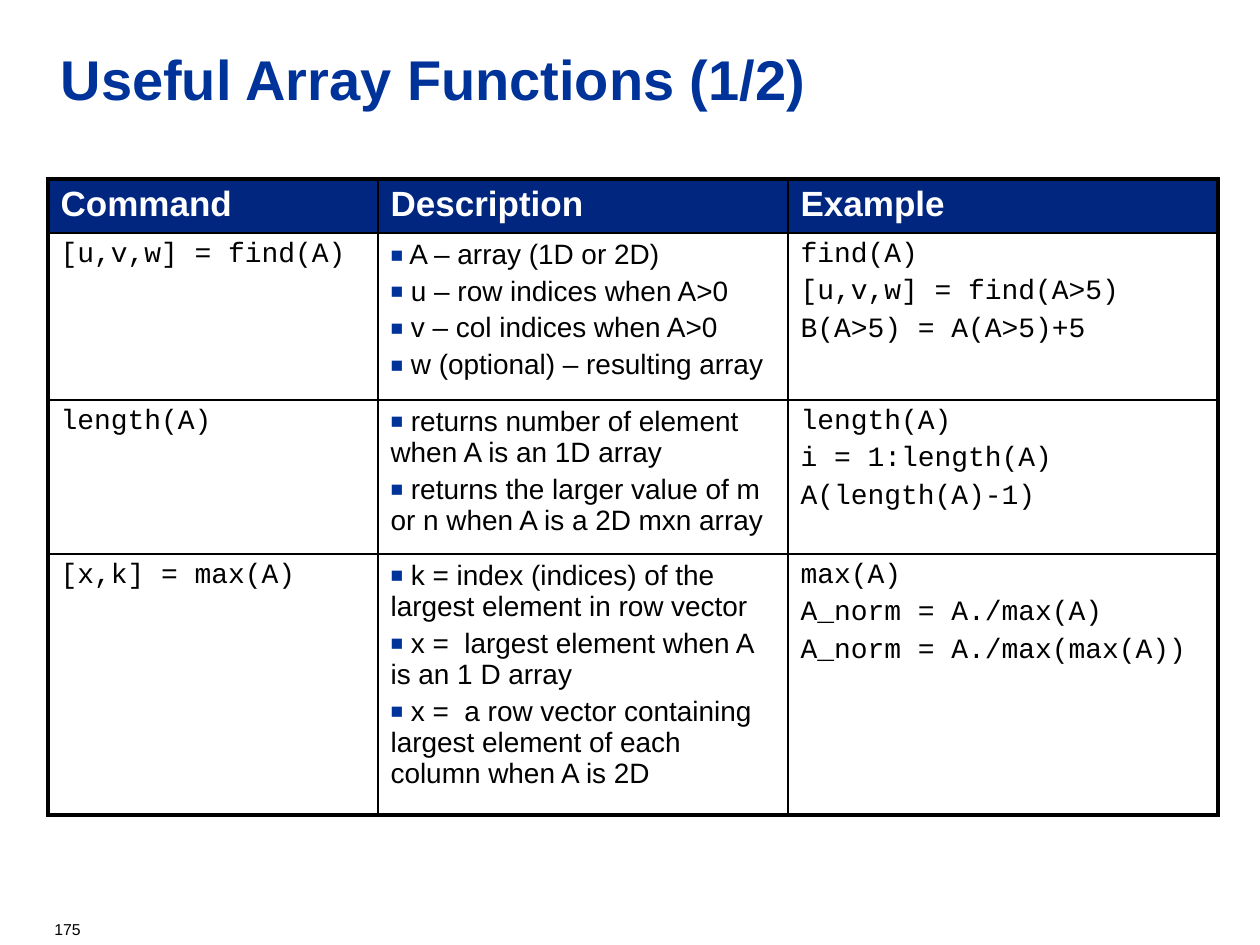
from lxml.etree import SubElement
from pptx import Presentation
from pptx.dml.color import RGBColor as RGB
from pptx.enum.text import MSO_ANCHOR as ANCHOR, PP_ALIGN as ALIGN
from pptx.oxml.ns import qn
from pptx.util import Emu, Pt

SCALE = 914400 / 126
COLORS = {"title": "003399", "header": "00267F", "white": "FFFFFF", "black": "000000"}
SANS, MONO = "Arial", "Courier New"


def px(n):
    return Emu(round(n * SCALE))


def style(font, color, **values):
    for key, value in values.items():
        setattr(font, key, value)
    font.color.rgb = RGB.from_string(COLORS[color])


HEADINGS = ["Command", "Description", "Example"]
FUNCTIONS = [
    (["[u,v,w] = find(A)"],
     [" A – array (1D or 2D)",
      " u – row indices when A>0",
      " v – col indices when A>0",
      " w (optional) – resulting array"],
     ["find(A)", "[u,v,w] = find(A>5)", "B(A>5) = A(A>5)+5"]),
    (["length(A)"],
     [" returns number of element when A is an 1D array",
      " returns the larger value of m or n when A is a 2D mxn array"],
     ["length(A)", "i = 1:length(A)", "A(length(A)-1)"]),
    (["[x,k] = max(A)"],
     [" k = index (indices) of the largest element in row vector",
      " x =  largest element when A is an 1 D array",
      " x =  a row vector containing largest element of each column when A is 2D"],
     ["max(A)", "A_norm = A./max(A)", "A_norm = A./max(max(A))"]),
]
COLUMN_WIDTHS = [330, 410, 430]
ROW_HEIGHTS = [54, 167, 154, 261]

prs = Presentation()
prs.slide_width, prs.slide_height = px(1260), px(945)
slide = prs.slides.add_slide(prs.slide_layouts[5])

title = slide.shapes.title
title.left, title.top, title.width, title.height = px(48), px(38), px(1148), px(126)
title.text_frame.vertical_anchor = ANCHOR.TOP
heading = title.text_frame.paragraphs[0]
heading.alignment = ALIGN.LEFT
heading_run = heading.add_run()
heading_run.text = "Useful Array Functions (1/2)"
style(heading_run.font, "title", name=SANS, size=Pt(32), bold=True)
effects = SubElement(heading_run.font.fill._xPr, qn("a:effectLst"))
shadow = SubElement(effects, qn("a:outerShdw"), blurRad="38100", dist="38100", dir="2700000")
shadow_color = SubElement(shadow, qn("a:srgbClr"), val="C0C0C0")
heading_run.font.name = SANS

table = slide.shapes.add_table(
    len(ROW_HEIGHTS), len(COLUMN_WIDTHS), px(48), px(179),
    px(sum(COLUMN_WIDTHS)), px(sum(ROW_HEIGHTS))).table
table.first_row = table.horz_banding = False
for column, width in zip(table.columns, COLUMN_WIDTHS):
    column.width = px(width)
for row, height in zip(table.rows, ROW_HEIGHTS):
    row.height = px(height)

content = [[[name] for name in HEADINGS], *FUNCTIONS]
last_row, last_col = len(ROW_HEIGHTS) - 1, len(COLUMN_WIDTHS) - 1
for r, entries in enumerate(content):
    for c, lines in enumerate(entries):
        cell = table.cell(r, c)
        is_header = r == 0
        is_description = c == 1 and not is_header
        outer_edges = {"L": c == 0, "R": c == last_col, "T": r == 0, "B": r == last_row}
        for side, is_outer in outer_edges.items():
            border = SubElement(cell._tc.get_or_add_tcPr(), qn(f"a:ln{side}"),
                                w=str(Pt(2.25 if is_outer else 1)))
            border_fill = SubElement(border, qn("a:solidFill"))
            SubElement(border_fill, qn("a:srgbClr"), val=COLORS["black"])
        cell.fill.solid()
        cell.fill.fore_color.rgb = RGB.from_string(COLORS["header" if is_header else "white"])
        for i, line in enumerate(lines):
            frame = cell.text_frame
            entry = frame.add_paragraph() if i else frame.paragraphs[0]
            if i:
                entry.space_before = Pt(3.2)
            if is_description:
                props = entry._p.get_or_add_pPr()
                bullet_color = SubElement(props, qn("a:buClr"))
                SubElement(bullet_color, qn("a:srgbClr"), val=COLORS["title"])
                SubElement(props, qn("a:buSzPct"), val="75000")
                SubElement(props, qn("a:buFont"), typeface=SANS)
                SubElement(props, qn("a:buChar"), char="■")
            entry_run = entry.add_run()
            entry_run.text = line
            style(entry_run.font, "white" if is_header else "black",
                  name=SANS if is_header or is_description else MONO,
                  size=Pt(20 if is_header else 16), bold=is_header)

page = slide.shapes.add_textbox(px(42), px(914), px(94), px(31))
page.text_frame.word_wrap = True
page_run = page.text_frame.paragraphs[0].add_run()
page_run.text = "175"
style(page_run.font, "black", name=SANS, size=Pt(9))

prs.save("out.pptx")
